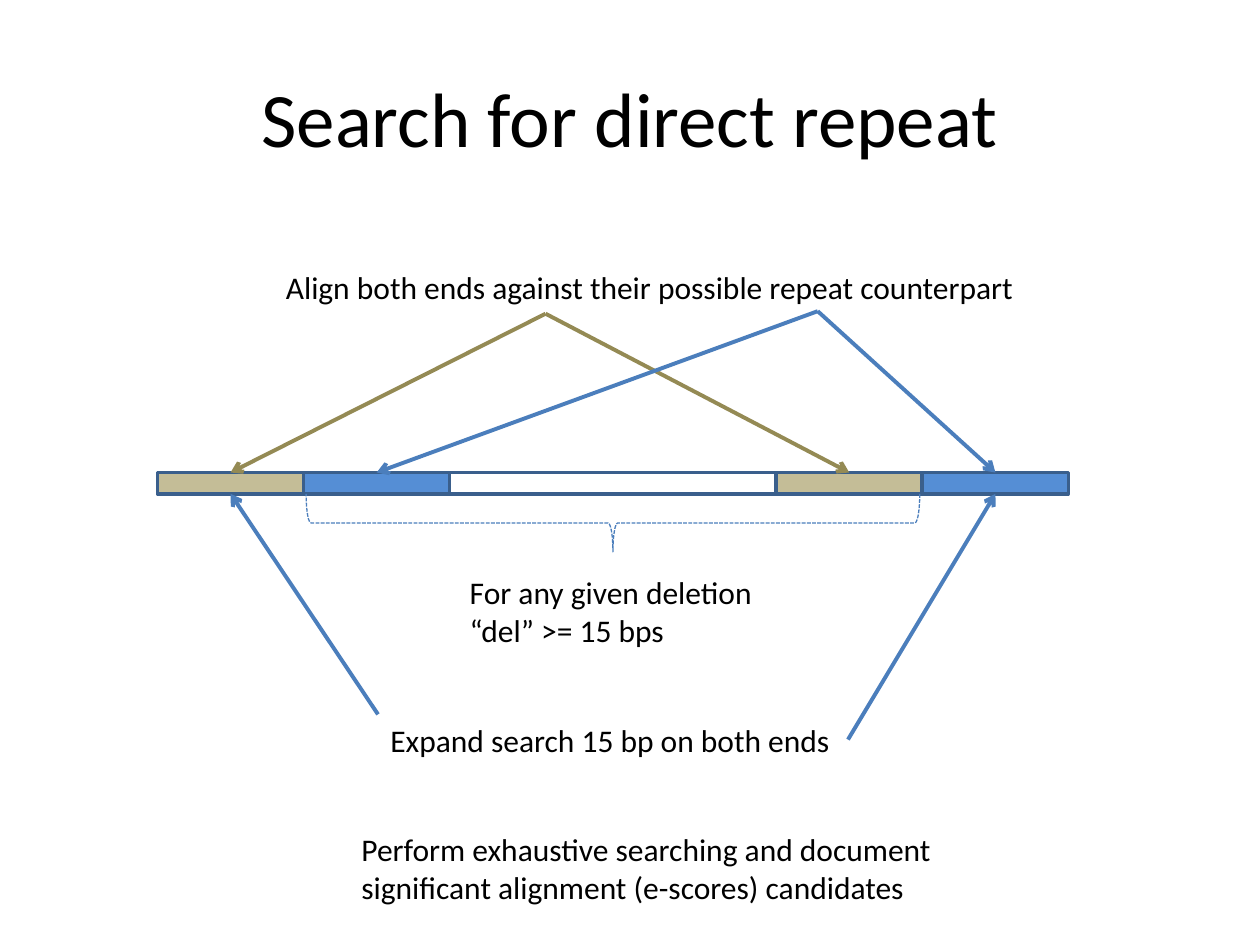
import pptx
import pptx.util
import pptx.dml.color
import pptx.enum.dml
import pptx.enum.shapes
import pptx.enum.text
import pptx.oxml
import pptx.oxml.ns
from pptx.util import Inches

COLORS = {
    "text": "000000",
    "outline": "3A5F8C",
    "tan": "C4BD97",
    "blue": "558ED5",
    "tan_arrow": "948A54",
    "blue_arrow": "4B7EBC",
}
SHAPES = pptx.enum.shapes.MSO_SHAPE


def rgb(name):
    """Return the named colour."""
    return pptx.dml.color.RGBColor.from_string(COLORS[name])


def format_text(frame, size):
    """Give every run in a text frame the slide's font."""
    for para in frame.paragraphs:
        for span in para.runs:
            span.font.name = "Calibri"
            span.font.size = pptx.util.Pt(size)
            span.font.color.rgb = rgb("text")


def add_title(page, left, top, width, height):
    """Place the centred slide title."""
    title = page.shapes.title
    title.left, title.top = Inches(left), Inches(top)
    title.width, title.height = Inches(width), Inches(height)
    frame = title.text_frame
    frame.text = "Search for direct repeat"
    frame.vertical_anchor = pptx.enum.text.MSO_ANCHOR.MIDDLE
    frame.paragraphs[0].alignment = pptx.enum.text.PP_ALIGN.CENTER
    format_text(frame, 44)


def add_label(page, left, top, width, height, text):
    """Place an unwrapped label with one paragraph for each line."""
    box = page.shapes.add_textbox(Inches(left), Inches(top), Inches(width), Inches(height))
    frame = box.text_frame
    frame.text = text
    frame.word_wrap = False
    frame.auto_size = pptx.enum.text.MSO_AUTO_SIZE.SHAPE_TO_FIT_TEXT
    format_text(frame, 18)
    return box


def add_segment(page, left, top, width, height, fill=None):
    """Place one outlined stretch of the sequence."""
    segment = page.shapes.add_shape(
        SHAPES.RECTANGLE, Inches(left), Inches(top), Inches(width), Inches(height))
    segment.shadow.inherit = False
    if fill:
        segment.fill.solid()
        segment.fill.fore_color.rgb = rgb(fill)
    else:
        segment.fill.background()
    segment.line.color.rgb = rgb("outline")
    segment.line.width = pptx.util.Pt(2)
    return segment


def add_sequence(page, left, top, width, height):
    """Draw the sequence and return its four repeats from left to right."""
    repeat = 1.16
    inner = left + repeat
    right = left + width - repeat
    add_segment(page, inner, top, width - 2 * repeat, height)
    repeats = [(left, "tan"), (inner, "blue"), (right - repeat, "tan"), (right, "blue")]
    return [add_segment(page, start, top, repeat, height, fill) for start, fill in repeats]


def add_brace(page, left, top, width, height):
    """Draw a dashed brace that spans the box and points down."""
    brace = page.shapes.add_shape(
        SHAPES.LEFT_BRACE,
        Inches(left + (width - height) / 2), Inches(top + (height - width) / 2),
        Inches(height), Inches(width))
    brace.rotation = 270
    brace.shadow.inherit = False
    brace.fill.background()
    brace.line.color.rgb = rgb("blue_arrow")
    brace.line.width = pptx.util.Pt(0.75)
    brace.line.dash_style = pptx.enum.dml.MSO_LINE.SQUARE_DOT


def add_arrow(page, start, target, side, color):
    """Draw an arrow from a point to one side of a segment."""
    x, y = (Inches(value) for value in start)
    arrow = page.shapes.add_connector(pptx.enum.shapes.MSO_CONNECTOR.STRAIGHT, x, y, x, y)
    arrow.end_connect(target, side)
    arrow.line.color.rgb = rgb(color)
    arrow.line.width = pptx.util.Pt(2.25)
    head = pptx.oxml.parse_xml(
        f'<a:tailEnd {pptx.oxml.ns.nsdecls("a")} type="arrow"/>')
    arrow.line._get_or_add_ln().append(head)
    effects = pptx.oxml.parse_xml(f'<a:effectLst {pptx.oxml.ns.nsdecls("a")}/>')
    arrow._element.spPr.append(effects)
    return arrow


def add_diagram(page, left, top, width, height):
    """Draw the sequence with its brace, labels and search arrows."""
    bar_top, bar_height = top + 1.67, 0.17
    bar_bottom = bar_top + bar_height
    repeats = add_sequence(page, left, bar_top, width, bar_height)
    add_brace(page, left + 1.18, bar_bottom, width - 2.36, 0.46)
    add_label(page, left + 2.38, top + 2.42, 2.47, 0.71,
              "For any given deletion\n“del” >= 15 bps")

    bottom = top + height
    expand = add_label(page, left + 1.75, bottom - 0.4, 3.73, 0.4,
                       "Expand search 15 bp on both ends")
    add_arrow(page, (left + 1.75, bottom - 0.4), repeats[0], 2, "blue_arrow")
    right_arrow = add_arrow(page, (left + 5.48, bottom - 0.2), repeats[3], 2, "blue_arrow")
    right_arrow.begin_connect(expand, 3)

    add_label(page, left + 0.92, top, 6.05, 0.4,
              "Align both ends against their possible repeat counterpart")
    origins = [(left + 3.08, top + 0.41), (left + 5.24, top + 0.39)]
    for index, color in enumerate(["tan_arrow", "blue_arrow"]):
        for target in repeats[index::2]:
            add_arrow(page, origins[index], target, 0, color)


def main():
    """Build and save the slide."""
    deck = pptx.Presentation()
    deck.slide_width, deck.slide_height = Inches(10), Inches(7.5)
    page = deck.slides.add_slide(deck.slide_layouts[5])
    add_title(page, 0.5, 0.3, 9, 1.25)
    add_diagram(page, 1.25, 2.08, 7.23, 3.99)
    add_label(page, 2.77, 6.54, 4.83, 0.71,
              "Perform exhaustive searching and document\n"
              "significant alignment (e-scores) candidates")
    deck.save("out.pptx")


if __name__ == "__main__":
    main()
